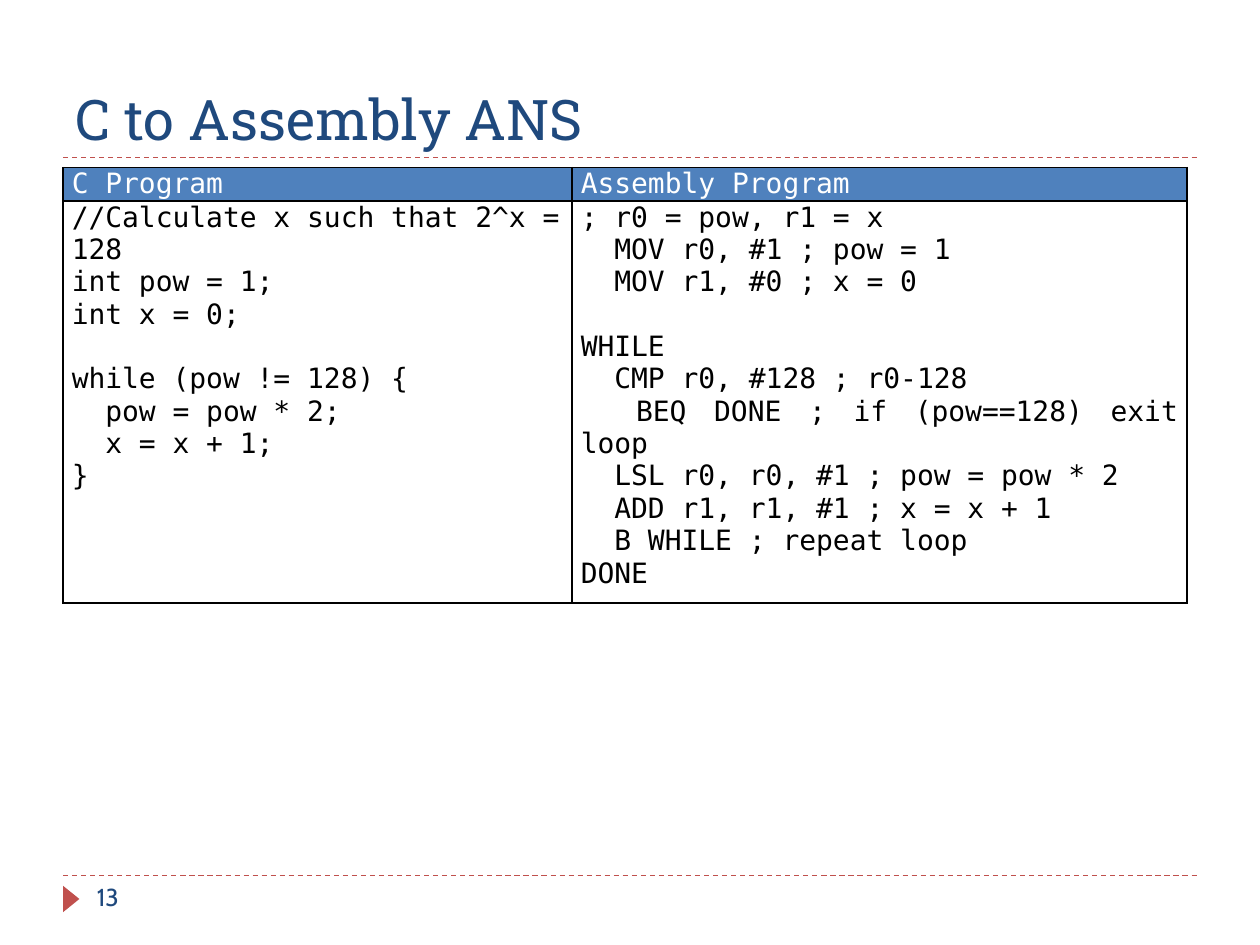
from lxml.etree import SubElement
from pptx import Presentation
from pptx.dml.color import RGBColor
from pptx.enum.dml import MSO_LINE_DASH_STYLE as Dash
from pptx.enum.shapes import MSO_CONNECTOR as Connector, MSO_SHAPE as Shape
from pptx.enum.text import MSO_ANCHOR as Anchor, PP_ALIGN as Align
from pptx.oxml import parse_xml
from pptx.oxml.ns import nsdecls, qn
from pptx.util import Inches, Pt

NAVY, RED, BLUE, BLACK, WHITE = "1F497D", "C0504D", "4F81BD", "000000", "FFFFFF"
CODE_FONT, CODE_SIZE, CODE_LINE = "DejaVu Sans Mono", 16, 18.6

C_CODE = """//Calculate x such that 2^x = 128
int pow = 1;
int x = 0;

while (pow != 128) {
  pow = pow * 2;
  x = x + 1;
}"""

ASSEMBLY_CODE = """; r0 = pow, r1 = x
  MOV r0, #1 ; pow = 1
  MOV r1, #0 ; x = 0

WHILE
  CMP r0, #128 ; r0-128
  BEQ DONE ; if (pow==128) exit loop
  LSL r0, r0, #1 ; pow = pow * 2
  ADD r1, r1, #1 ; x = x + 1
  B WHILE ; repeat loop
DONE"""


def rgb(color):
    return RGBColor.from_string(color)


def write_text(frame, text, font, size, color, align=Align.LEFT, block_gap=0):
    """Write one paragraph per line; a blank line becomes space before the next."""
    frame.word_wrap = True
    paragraph = frame.paragraphs[0]
    for block_index, block in enumerate(text.split("\n\n")):
        for line_index, line in enumerate(block.split("\n")):
            if block_index or line_index:
                paragraph = frame.add_paragraph()
            if block_index and not line_index:
                paragraph.space_before = Pt(block_gap)
            paragraph.alignment = align
            run = paragraph.add_run()
            run.text = line
            run.font.name, run.font.size = font, Pt(size)
            run.font.color.rgb = rgb(color)


def add_label(slide, left, top, width, height, text, anchor=Anchor.TOP, **style):
    label = slide.shapes.add_textbox(*map(Inches, (left, top, width, height)))
    label.text_frame.vertical_anchor = anchor
    write_text(label.text_frame, text, color=NAVY, **style)


def add_dashed_rule(slide, top):
    rule = slide.shapes.add_connector(
        Connector.STRAIGHT, Inches(0.5), Inches(top), Inches(9.5), Inches(top))
    rule.line.color.rgb = rgb(RED)
    rule.line.width = Pt(0.75)
    rule.line.dash_style = Dash.DASH
    SubElement(rule._element.spPr, qn("a:effectLst"))


def add_page_marker(slide):
    marker = slide.shapes.add_shape(
        Shape.ISOSCELES_TRIANGLE, *map(Inches, (0.46, 7.07, 0.21, 0.13)))
    marker.rotation = 90
    marker.shadow.inherit = False
    marker.fill.solid()
    marker.fill.fore_color.rgb = rgb(RED)
    marker.line.fill.background()


def set_borders(cell):
    properties = cell._tc.get_or_add_tcPr()
    for position, side in enumerate(("lnL", "lnR", "lnT", "lnB")):
        properties.insert(position, parse_xml(
            f'<a:{side} {nsdecls("a")} w="{Pt(1)}"><a:solidFill>'
            f'<a:srgbClr val="{BLACK}"/></a:solidFill></a:{side}>'))


def fill_cell(cell, text, color, align, background=None):
    cell.margin_left = cell.margin_right = Inches(0.07)
    cell.margin_top = cell.margin_bottom = 0
    if background:
        cell.fill.solid()
        cell.fill.fore_color.rgb = rgb(background)
    else:
        cell.fill.background()
    set_borders(cell)
    write_text(cell.text_frame, text, CODE_FONT, CODE_SIZE, color, align, CODE_LINE)


def add_code_table(slide):
    programs = [
        ("C Program", C_CODE, Align.LEFT, 4.04),
        ("Assembly Program", ASSEMBLY_CODE, Align.JUSTIFY, 4.88),
    ]
    table = slide.shapes.add_table(
        2, len(programs), *map(Inches, (0.5, 1.33, 8.92, 3.2))).table
    table.rows[0].height, table.rows[1].height = Inches(0.24), Inches(2.96)
    for column, (heading, code, align, width) in enumerate(programs):
        table.columns[column].width = Inches(width)
        fill_cell(table.cell(0, column), heading, WHITE, Align.JUSTIFY, BLUE)
        fill_cell(table.cell(1, column), code, BLACK, align)


def main():
    presentation = Presentation()
    presentation.slide_width, presentation.slide_height = Inches(10), Inches(7.5)
    slide = presentation.slides.add_slide(presentation.slide_layouts[6])
    for top in (6.95, 1.25):
        add_dashed_rule(slide, top)
    add_page_marker(slide)
    add_label(slide, 0.5, 0.17, 9, 1.08, "C to Assembly ANS",
              anchor=Anchor.BOTTOM, font="Roboto Slab", size=32)
    add_label(slide, 0.67, 6.95, 2.17, 0.4, "13", font="Cabin", size=14)
    add_code_table(slide)
    presentation.save("out.pptx")


if __name__ == "__main__":
    main()
